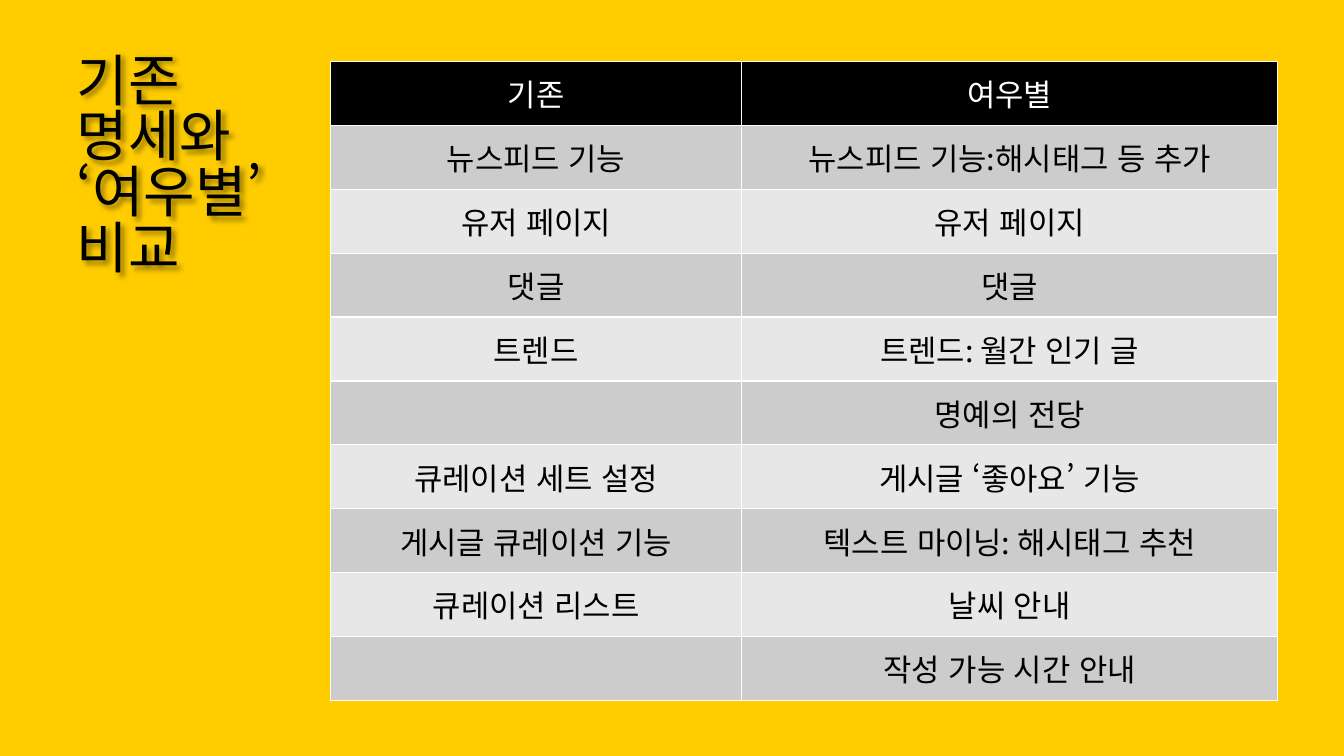
from lxml import etree
from pptx import Presentation
from pptx import util as u
from pptx.dml.color import RGBColor
from pptx.enum import text
from pptx.oxml import ns

YELLOW = RGBColor(0xFF, 0xCC, 0x00)
BLACK = RGBColor(0x00, 0x00, 0x00)
WHITE = RGBColor(0xFF, 0xFF, 0xFF)
DARK_BAND = RGBColor(0xCC, 0xCC, 0xCC)
LIGHT_BAND = RGBColor(0xE7, 0xE7, 0xE7)


def set_attributes(target, values):
    for name, value in values.items():
        setattr(target, name, value)


def add_element(parent, tag, **attributes):
    return etree.SubElement(parent, ns.qn(tag), attributes)


class SlideBuilder:
    font_name = "Noto Sans CJK KR"

    def __init__(self, presentation, background):
        self.slide = presentation.slides.add_slide(presentation.slide_layouts[5])
        self.slide.background.fill.solid()
        self.slide.background.fill.fore_color.rgb = background

    def format_text(self, frame, size, color, alignment):
        for paragraph in frame.paragraphs:
            paragraph.alignment = alignment
            for run in paragraph.runs:
                set_attributes(run.font, {"name": self.font_name, "size": u.Pt(size),
                                          "bold": False})
                run.font.color.rgb = color
                properties = run.font._element
                properties.set("lang", "ko-KR")
                add_element(properties, "a:ea", typeface=self.font_name)

    def title(self, content, box, size):
        shape = self.slide.shapes.title
        set_attributes(shape, box)
        frame = shape.text_frame
        frame.text = content
        set_attributes(frame, {"word_wrap": True, "auto_size": text.MSO_AUTO_SIZE.NONE,
                               "vertical_anchor": text.MSO_ANCHOR.TOP})
        frame.paragraphs[0].line_spacing = 0.83
        self.format_text(frame, size, BLACK, text.PP_ALIGN.LEFT)
        self.soft_shadow(shape)

    def soft_shadow(self, shape):
        effects = add_element(shape._element.spPr, "a:effectLst")
        shadow = add_element(effects, "a:outerShdw", blurRad="50800", dist="38100",
                             dir="2700000", algn="tl", rotWithShape="0")
        color = add_element(shadow, "a:srgbClr", val=str(BLACK))
        add_element(color, "a:alpha", val="40000")

    def table(self, rows, left, top, column_widths, row_height, size):
        frame = self.slide.shapes.add_table(
            len(rows), len(column_widths), left, top,
            sum(column_widths), row_height * len(rows))
        table = frame.table
        set_attributes(table, {"first_row": True, "horz_banding": False})
        for column, width in zip(table.columns, column_widths):
            column.width = width
        for index, contents in enumerate(rows):
            table.rows[index].height = row_height
            if index == 0:
                fill, color = BLACK, WHITE
            else:
                fill, color = (DARK_BAND if index % 2 else LIGHT_BAND), BLACK
            for cell, content in zip(table.rows[index].cells, contents):
                self.cell(cell, content, fill, color, size)

    def cell(self, cell, content, fill, color, size):
        cell.text = content
        cell.vertical_anchor = text.MSO_ANCHOR.MIDDLE
        self.format_text(cell.text_frame, size, color, text.PP_ALIGN.CENTER)
        # Borders come before the fill in the cell properties
        properties = cell._tc.get_or_add_tcPr()
        for side in ("a:lnL", "a:lnR", "a:lnT", "a:lnB"):
            line = add_element(properties, side, w=str(u.Pt(1)))
            add_element(add_element(line, "a:solidFill"), "a:srgbClr", val=str(WHITE))
        cell.fill.solid()
        cell.fill.fore_color.rgb = fill


presentation = Presentation()
set_attributes(presentation, {"slide_width": u.Cm(33.87), "slide_height": u.Cm(19.05)})
builder = SlideBuilder(presentation, YELLOW)

# Title
builder.title(
    "기존\v명세와\v‘여우별’\v비교",
    {"left": u.Cm(1.68), "top": u.Cm(1.3), "width": u.Cm(5.87), "height": u.Cm(6.88)},
    size=40)

# Feature comparison
features = [
    ("기존", "여우별"),
    ("뉴스피드 기능", "뉴스피드 기능:해시태그 등 추가"),
    ("유저 페이지", "유저 페이지"),
    ("댓글", "댓글"),
    ("트렌드", "트렌드: 월간 인기 글"),
    ("", "명예의 전당"),
    ("큐레이션 세트 설정", "게시글 ‘좋아요’ 기능"),
    ("게시글 큐레이션 기능", "텍스트 마이닝: 해시태그 추천"),
    ("큐레이션 리스트", "날씨 안내"),
    ("", "작성 가능 시간 안내"),
]
builder.table(features, u.Cm(8.33), u.Cm(1.55), [u.Cm(10.36), u.Cm(13.51)],
              u.Cm(1.61), size=22)

presentation.save("out.pptx")
